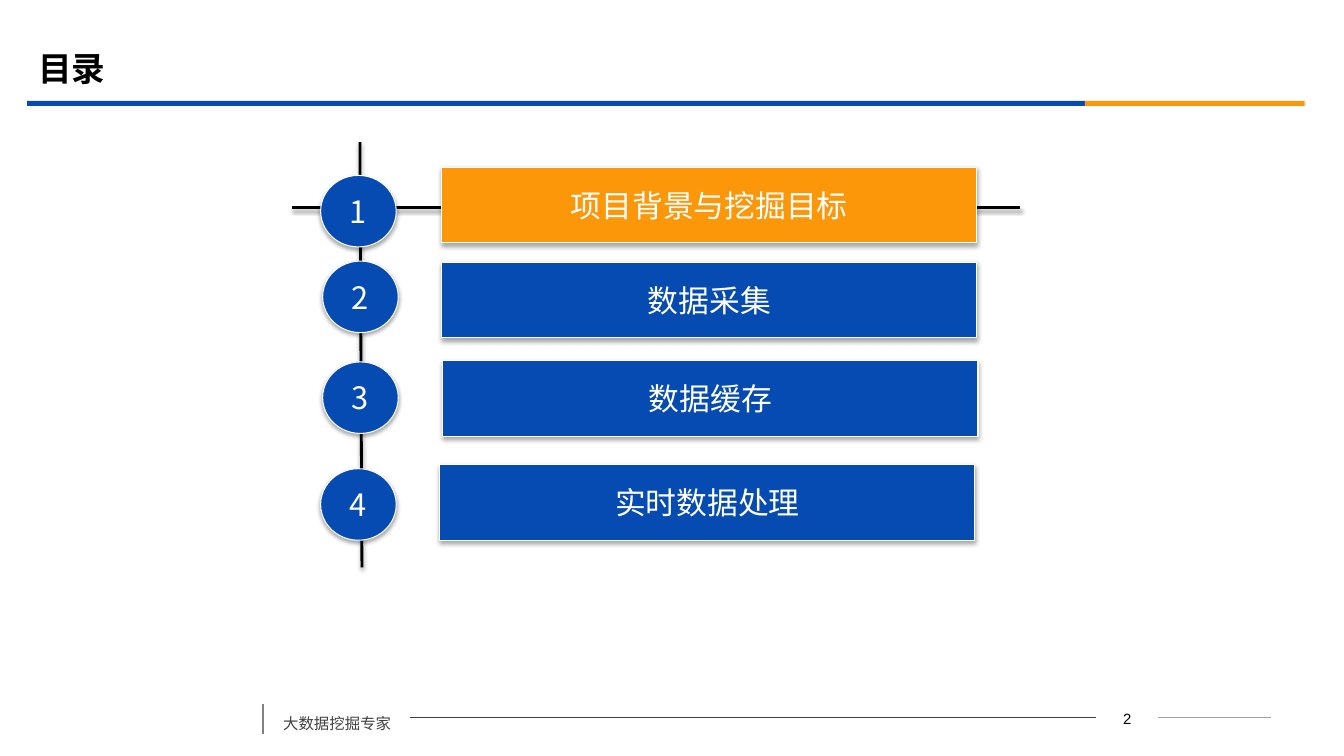
from lxml import etree
from pptx import Presentation
from pptx.dml.color import RGBColor
from pptx.enum import shapes, text
from pptx.oxml import ns
from pptx.util import Inches, Pt

HUES = {"blue": "064BB2", "gold": "FB9708", "white": "FFFFFF", "black": "000000",
        "dark": "404040", "mid": "808080", "pale": "A0A0A0"}
SANS = "Noto Sans CJK SC"
KIND = shapes.MSO_SHAPE


def write(frame, words, size=22, face=SANS, hue="white", bold=False,
          align=text.PP_ALIGN.CENTER, anchor=text.MSO_ANCHOR.MIDDLE, wrap=False, space=None):
    frame.word_wrap = wrap
    frame.vertical_anchor = anchor
    para = frame.paragraphs[0]
    para.alignment = align
    para.line_spacing = space
    run = para.add_run()
    run.text = words
    font = run.font
    font.size, font.name, font.bold = Pt(size), face, bold
    font.color.rgb = RGBColor.from_string(HUES[hue])
    etree.SubElement(run._r.get_or_add_rPr(), ns.qn("a:ea"), typeface=face)


def shade(item, dist=0, alpha=0):
    props = item._element.spPr
    group = etree.SubElement(props, ns.qn("a:effectLst"))
    if dist:
        drop = etree.SubElement(group, ns.qn("a:outerShdw"), blurRad=str(Pt(3.1)),
                                dist=str(Pt(dist)), dir="5400000", rotWithShape="0")
        tint = etree.SubElement(drop, ns.qn("a:srgbClr"), val=HUES["black"])
        etree.SubElement(tint, ns.qn("a:alpha"), val=str(alpha * 1000))


deck = Presentation()
deck.slide_width, deck.slide_height = Inches(13.33), Inches(7.5)
slide = deck.slides.add_slide(deck.slide_layouts[5])
tree = slide.shapes

title = tree.title
title.left, title.top = Inches(0.28), Inches(0.39)
title.width, title.height = Inches(12), Inches(0.58)
write(title.text_frame, "目录", size=24, hue="black", bold=True,
      align=text.PP_ALIGN.LEFT, wrap=True)

for left, width, hue in [(0.27, 10.49, "blue"), (10.76, 2.18, "gold")]:
    bar = tree.add_shape(KIND.RECTANGLE, Inches(left), Inches(1), Inches(width), Inches(0.05))
    bar.shadow.inherit = False
    bar.fill.solid()
    bar.fill.fore_color.rgb = RGBColor.from_string(HUES[hue])
    bar.line.fill.background()

for x1, y1, x2, y2, hue, weight, drop in [
    (11.49, 7.12, 12.61, 7.12, "pale", 0.75, 0),
    (4.07, 7.12, 10.87, 7.12, "dark", 0.75, 0),
    (2.61, 6.98, 2.61, 7.28, "mid", 1.25, 0),
    (3.57, 1.41, 3.59, 5.63, "black", 2, 1.6),
    (2.9, 2.06, 10.12, 2.06, "black", 2, 1.6),
]:
    rule = tree.add_connector(shapes.MSO_CONNECTOR.STRAIGHT,
                              Inches(x1), Inches(y1), Inches(x2), Inches(y2))
    rule.line.color.rgb = RGBColor.from_string(HUES[hue])
    rule.line.width = Pt(weight)
    shade(rule, drop, 38)

foot = tree.add_textbox(Inches(2.71), Inches(6.94), Inches(1.36), Inches(0.38))
write(foot.text_frame, "大数据挖掘专家", size=11, hue="dark", align=text.PP_ALIGN.LEFT,
      anchor=text.MSO_ANCHOR.TOP, wrap=True, space=1.5)
page = tree.add_textbox(Inches(10.87), Inches(6.99), Inches(0.62), Inches(0.25))
write(page.text_frame, "2", size=10.6, face="Arial", hue="black",
      anchor=text.MSO_ANCHOR.TOP, wrap=True)

topics = [
    ("项目背景与挖掘目标", "gold", 4.38, 1.66, 3.18, 1.74),
    ("数据采集", "blue", 4.38, 2.6, 3.2, 2.59),
    ("数据缓存", "blue", 4.39, 3.58, 3.2, 3.59),
    ("实时数据处理", "blue", 4.36, 4.61, 3.18, 4.65),
]
for num, (topic, hue, left, top, dot_x, dot_y) in enumerate(topics, 1):
    for kind, x, y, wide, high, tone, words in [
        (KIND.ACTION_BUTTON_CUSTOM, left, top, 5.31, 0.75, hue, topic),
        (KIND.OVAL, dot_x, dot_y, 0.75, 0.71, "blue", str(num)),
    ]:
        item = tree.add_shape(kind, Inches(x), Inches(y), Inches(wide), Inches(high))
        item.fill.solid()
        item.fill.fore_color.rgb = RGBColor.from_string(HUES[tone])
        item.line.color.rgb = RGBColor.from_string(HUES["white"])
        item.line.width = Pt(0.75)
        shade(item, 1.8, 35)
        write(item.text_frame, words)

deck.save("out.pptx")
